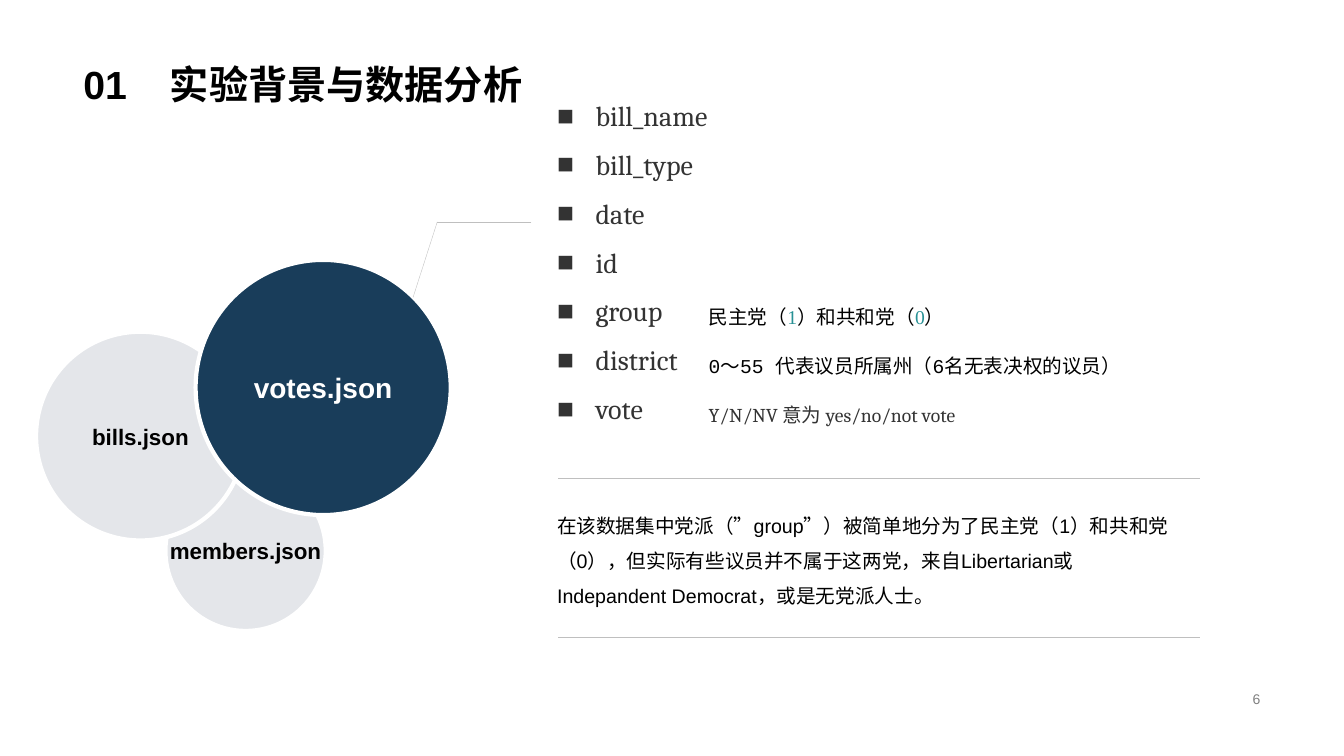
"""Build the slide on the fields of the vote data set."""
from dataclasses import dataclass
from typing import Any

from lxml.etree import SubElement
from pptx import Presentation
from pptx.dml.color import RGBColor
from pptx.enum.shapes import MSO_CONNECTOR as Link, MSO_SHAPE as Shape
from pptx.enum.text import MSO_ANCHOR as Anchor, MSO_AUTO_SIZE as Fit, PP_ALIGN as Align
from pptx.oxml.ns import qn
from pptx.util import Cm, Pt

BLACK = RGBColor(0x00, 0x00, 0x00)
WHITE = RGBColor(0xFF, 0xFF, 0xFF)
DARK = RGBColor(0x33, 0x33, 0x33)
GREY = RGBColor(0x80, 0x80, 0x80)
RULE = RGBColor(0xBF, 0xBF, 0xBF)
PALE = RGBColor(0xE4, 0xE6, 0xEA)
NAVY = RGBColor(0x19, 0x3D, 0x5A)
TEAL = RGBColor(0x28, 0x91, 0x95)

PITCH = 1.23
INDENT = Cm(0.97)
FIELDS = ["bill_name", "bill_type", "date", "id", "group", "district", "vote"]


@dataclass(frozen=True)
class Style:
    """Font of a run."""
    size: float
    name: str
    color: RGBColor
    bold: bool = False


@dataclass(frozen=True)
class Disc:
    """Circle that names a file."""
    left: float
    top: float
    width: float
    fill: RGBColor
    label: str
    style: Style


@dataclass(frozen=True)
class Line:
    """Thin straight line."""
    left: float
    top: float
    right: float
    end: float


@dataclass(frozen=True)
class Block:
    """Text box with one paragraph of styled runs."""
    left: float
    top: float
    width: float
    height: float
    runs: list[tuple[str, Style]]
    form: dict[str, Any]
    anchor: Anchor = Anchor.TOP
    bullet: bool = False


HEAD = Style(28, "Arial", BLACK, True)
PAGE = Style(10, "Arial", GREY)
NAME = Style(16, "Arial", BLACK, True)
MAIN = Style(20, "Arial", WHITE, True)
FIELD = Style(20, "Cambria", DARK)
VALUE = Style(14, "Cambria", DARK)
CODE = Style(14, "Courier New", BLACK)
MARK = Style(14, "Times New Roman", TEAL)
BODY = Style(14, "Arial", BLACK)

LOOSE = {"line_spacing": 1.5}
PLAIN = {"alignment": Align.LEFT}

DISCS = [
    Disc(4.17, 11.86, 4.04, PALE, "members.json", NAME),
    Disc(0.91, 8.36, 5.26, PALE, "bills.json", NAME),
    Disc(4.93, 6.55, 6.43, NAVY, "votes.json", MAIN),
]

LINES = [
    Line(13.39, 5.59, 11.02, 5.59),
    Line(10.41, 7.49, 11.02, 5.59),
    Line(14.07, 12.04, 30.23, 12.04),
    Line(14.07, 16.05, 30.23, 16.05),
]

NOTES = [
    [("民主党（", CODE), ("1", MARK), ("）和共和党（", CODE), ("0", MARK), ("）", CODE)],
    [("0～55 代表议员所属州（6名无表决权的议员）", CODE)],
    [("Y/N/NV 意为 yes/no/not vote", VALUE)],
]

REMARK = (
    "在该数据集中党派（”group”）被简单地分为了民主党（1）和共和党（0），"
    "但实际有些议员并不属于这两党，来自Libertarian或Indepandent Democrat，"
    "或是无党派人士。"
)

BLOCKS = [
    *[Block(13.79, 2.24 + PITCH * row, 7.42, 1.22, [(field, FIELD)], PLAIN, Anchor.BOTTOM, True)
      for row, field in enumerate(FIELDS)],
    *[Block(17.61, 7.26 + PITCH * row, 16.2, 1.22, runs, LOOSE)
      for row, runs in enumerate(NOTES)],
    Block(13.79, 12.52, 16.15, 3.07, [(REMARK, BODY)], LOOSE),
    Block(23.93, 17.32, 8.08, 0.58, [("6", PAGE)], {"alignment": Align.RIGHT}, Anchor.MIDDLE),
]


def apply(target: Any, values: dict[str, Any]) -> None:
    """Set each value on the target."""
    for key, value in values.items():
        setattr(target, key, value)


def write(para: Any, text: str, style: Style) -> None:
    """Add a styled run to a paragraph."""
    run = para.add_run()
    run.text = text
    apply(run.font, {"size": Pt(style.size), "name": style.name, "bold": style.bold})
    run.font.color.rgb = style.color


def mark(para: Any) -> None:
    """Give a paragraph a square bullet."""
    props = para._p.get_or_add_pPr()
    props.set("marL", str(INDENT))
    props.set("indent", str(-INDENT))
    SubElement(props, qn("a:buFont"), typeface="Arial")
    SubElement(props, qn("a:buChar"), char="■")


def draw_disc(slide: Any, disc: Disc) -> None:
    """Draw a labelled circle."""
    shape = slide.shapes.add_shape(
        Shape.OVAL, Cm(disc.left), Cm(disc.top), Cm(disc.width), Cm(disc.width))
    shape.shadow.inherit = False
    shape.fill.solid()
    shape.fill.fore_color.rgb = disc.fill
    shape.line.color.rgb = WHITE
    shape.line.width = Pt(3)
    frame = shape.text_frame
    apply(frame, {"word_wrap": False, "vertical_anchor": Anchor.MIDDLE})
    para = frame.paragraphs[0]
    para.alignment = Align.CENTER
    write(para, disc.label, disc.style)


def draw_line(slide: Any, line: Line) -> None:
    """Draw a thin line."""
    link = slide.shapes.add_connector(
        Link.STRAIGHT, Cm(line.left), Cm(line.top), Cm(line.right), Cm(line.end))
    link.line.color.rgb = RULE
    link.line.width = Pt(0.25)
    SubElement(link._element.spPr, qn("a:effectLst"))


def draw_block(slide: Any, block: Block) -> None:
    """Draw a text box."""
    box = slide.shapes.add_textbox(
        Cm(block.left), Cm(block.top), Cm(block.width), Cm(block.height))
    frame = box.text_frame
    apply(frame, {"word_wrap": True, "vertical_anchor": block.anchor})
    para = frame.paragraphs[0]
    if block.bullet:
        mark(para)
    apply(para, block.form)
    for text, style in block.runs:
        write(para, text, style)


def draw_title(slide: Any) -> None:
    """Place and fill the title."""
    title = slide.shapes.title
    apply(title, {"left": Cm(1.85), "top": Cm(0), "width": Cm(30.15), "height": Cm(2.84)})
    frame = title.text_frame
    apply(frame, {"vertical_anchor": Anchor.BOTTOM, "auto_size": Fit.NONE, "word_wrap": True})
    para = frame.paragraphs[0]
    tabs = SubElement(para._p.get_or_add_pPr(), qn("a:tabLst"))
    SubElement(tabs, qn("a:tab"), pos=str(Cm(2.18)), algn="l")
    apply(para, {"alignment": Align.LEFT, "line_spacing": 0.9})
    write(para, "01\t实验背景与数据分析", HEAD)


def main() -> None:
    """Build and save the deck."""
    deck = Presentation()
    apply(deck, {"slide_width": Cm(33.87), "slide_height": Cm(19.05)})
    slide = deck.slides.add_slide(deck.slide_layouts[5])
    draw_title(slide)
    for disc in DISCS:
        draw_disc(slide, disc)
    for line in LINES:
        draw_line(slide, line)
    for block in BLOCKS:
        draw_block(slide, block)
    deck.save("out.pptx")


if __name__ == "__main__":
    main()
